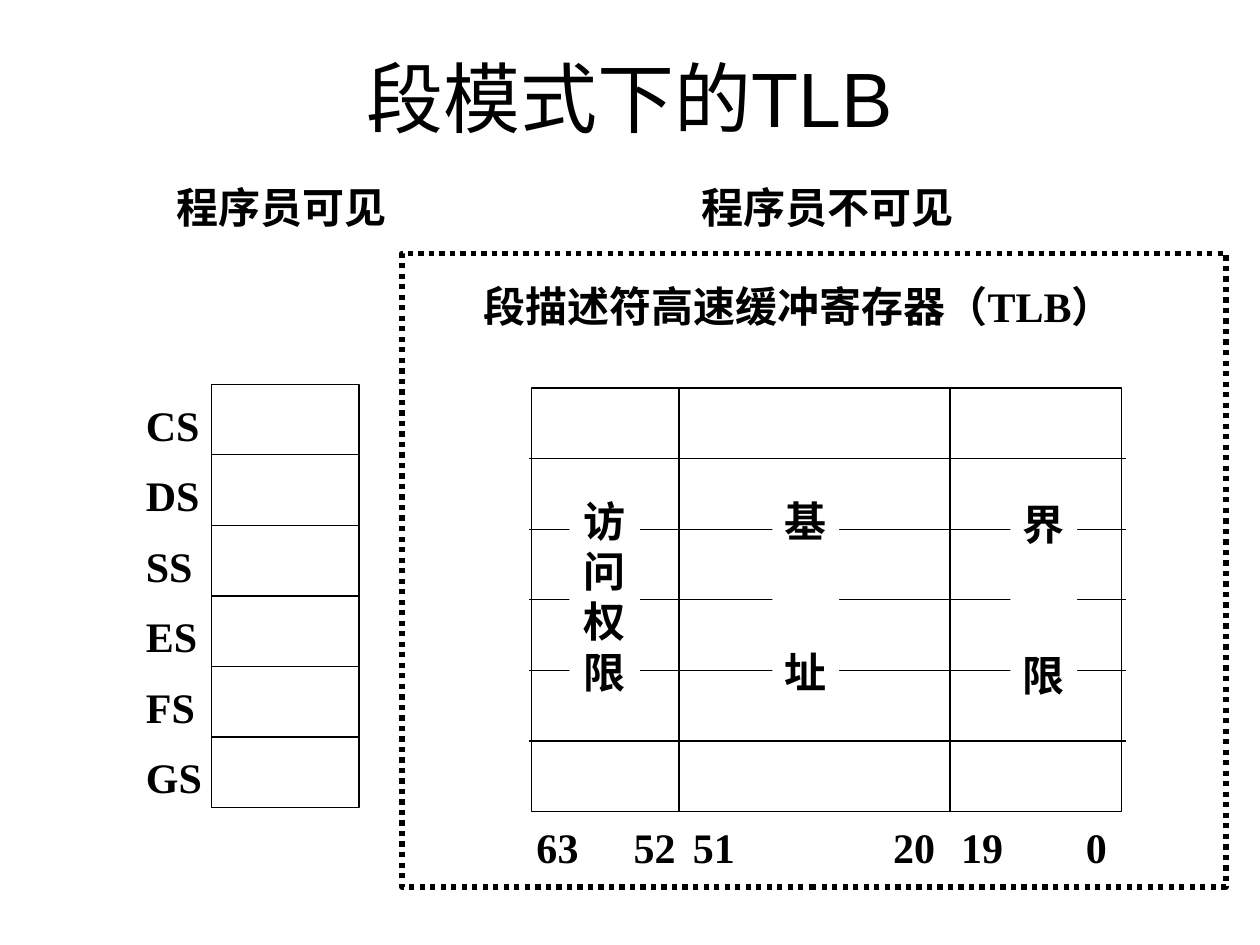
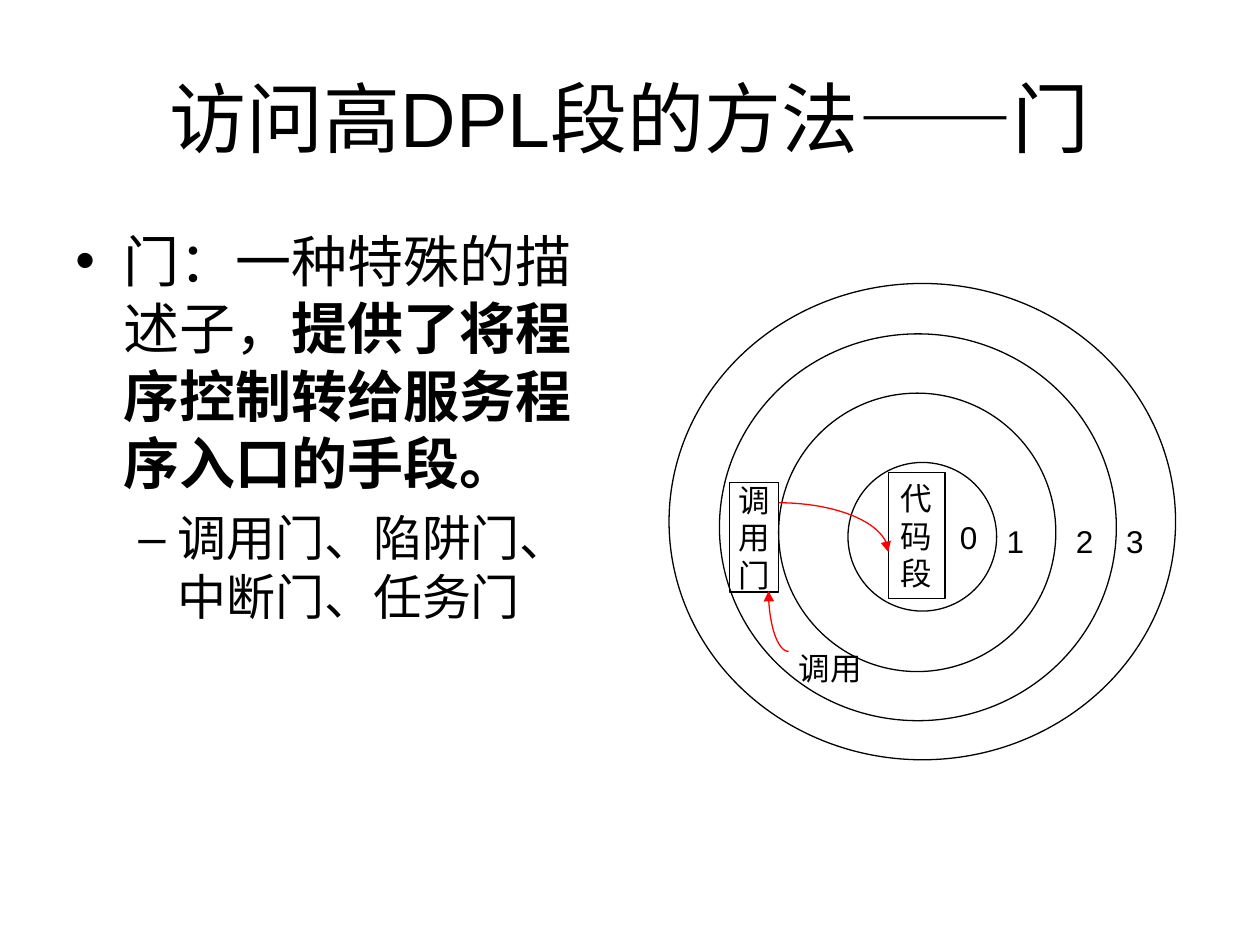
import math
from dataclasses import dataclass

import pptx
import pptx.dml.color
import pptx.enum.dml
import pptx.enum.lang
import pptx.enum.shapes
import pptx.enum.text
import pptx.oxml
import pptx.oxml.ns
import pptx.util
from pptx.util import Inches

BLACK, WHITE, RED = "000000", "FFFFFF", "FF0000"
SANS, SERIF = "Arial", "Times New Roman"
CENTER = pptx.enum.text.PP_ALIGN.CENTER
LEFT = pptx.enum.text.PP_ALIGN.LEFT
SHAPES = pptx.enum.shapes.MSO_SHAPE
THIN = 0.75


@dataclass(frozen=True)
class Box:
    left: float
    top: float
    width: float
    height: float

    def lengths(self) -> list:
        return [Inches(v) for v in (self.left, self.top, self.width, self.height)]


@dataclass(frozen=True)
class TextStyle:
    size: float
    font: str = SANS
    bold: bool = False


@dataclass(frozen=True)
class Label:
    text: str
    box: Box


@dataclass(frozen=True)
class BulletStyle:
    character: str
    margin: float
    hanging: float
    space_before: float
    text: TextStyle


TITLE = TextStyle(44)
DIAGRAM = TextStyle(24, SERIF, True)
RING_TEXT = TextStyle(18)
BULLETS = (
    BulletStyle("•", 0.38, 0.38, 0, TextStyle(32)),
    BulletStyle("–", 0.81, 0.31, 7, TextStyle(28)),
)


def color(value: str) -> pptx.dml.color.RGBColor:
    return pptx.dml.color.RGBColor.from_string(value)


def element(tag: str, attributes: str = ""):
    """Make an empty drawing element."""
    return pptx.oxml.parse_xml(f"<a:{tag} {pptx.oxml.ns.nsdecls('a')} {attributes}/>")


def format_run(run, style: TextStyle) -> None:
    run.font.size = pptx.util.Pt(style.size)
    run.font.name = style.font
    run.font.bold = style.bold
    run.font.color.rgb = color(BLACK)
    run.font.language_id = pptx.enum.lang.MSO_LANGUAGE_ID.SIMPLIFIED_CHINESE


def write(shape, text: str, style: TextStyle, align=LEFT, middle=False, wrap=False) -> None:
    """Put one paragraph per line of text into a shape."""
    frame = shape.text_frame
    frame.text = text
    frame.word_wrap = wrap
    anchors = pptx.enum.text.MSO_ANCHOR
    frame.vertical_anchor = anchors.MIDDLE if middle else anchors.TOP
    for paragraph in frame.paragraphs:
        paragraph.alignment = align
        for run in paragraph.runs:
            format_run(run, style)


def add_text(slide, label: Label, style: TextStyle):
    """Add a label whose right inset is dropped so that it stays on its lines."""
    shape = slide.shapes.add_textbox(*label.box.lengths())
    write(shape, label.text, style)
    shape.text_frame.margin_right = 0
    return shape


def add_title(slide, text: str, height: float) -> None:
    shape = slide.shapes.add_textbox(*Box(0.5, 0.3, 9, height).lengths())
    write(shape, text, TITLE, CENTER, middle=True, wrap=True)


def add_outline(slide, kind, box: Box, width: float = THIN):
    shape = slide.shapes.add_shape(kind, *box.lengths())
    shape.shadow.inherit = False
    shape.fill.background()
    shape.line.color.rgb = color(BLACK)
    shape.line.width = pptx.util.Pt(width)
    return shape


def add_line(slide, x1: float, y1: float, x2: float, y2: float) -> None:
    line = slide.shapes.add_connector(
        pptx.enum.shapes.MSO_CONNECTOR.STRAIGHT,
        Inches(x1), Inches(y1), Inches(x2), Inches(y2))
    line.line.color.rgb = color(BLACK)
    line.line.width = pptx.util.Pt(THIN)
    line._element.spPr.append(element("effectLst"))


def add_row_lines(slide, left: float, right: float, top: float, pitch: float,
                  rows=range(1, 6)) -> None:
    """Draw lines that part six register rows."""
    for row in rows:
        y = top + row * pitch
        add_line(slide, left, y, right, y)


def add_field_name(slide, name: str, box: Box, gap: float) -> None:
    """Write a field name downwards on a white patch that hides the row lines."""
    patch = add_outline(slide, SHAPES.RECTANGLE, box)
    patch.fill.solid()
    patch.fill.fore_color.rgb = color(WHITE)
    patch.line.fill.background()
    write(patch, "\n".join(name), DIAGRAM, CENTER)
    patch.text_frame.margin_top = Inches(0.45)
    for paragraph in patch.text_frame.paragraphs[1:]:
        paragraph.space_before = pptx.util.Pt(gap)


def add_curved_arrow(slide, start: tuple[float, float], end: tuple[float, float]) -> None:
    """Draw a quarter ellipse that leaves start level and reaches end upright."""
    points = []
    for step in range(25):
        angle = step / 24 * math.pi / 2
        x = start[0] + (end[0] - start[0]) * math.sin(angle)
        y = end[1] + (start[1] - end[1]) * math.cos(angle)
        points.append((Inches(x), Inches(y)))
    builder = slide.shapes.build_freeform(*points[0], scale=1.0)
    builder.add_line_segments(points[1:], close=False)
    arrow = builder.convert_to_shape()
    arrow.shadow.inherit = False
    arrow.fill.background()
    arrow.line.color.rgb = color(RED)
    arrow.line.width = pptx.util.Pt(THIN)
    arrow.line._get_or_add_ln().append(element("tailEnd", "type='triangle'"))


def add_bullet(paragraph, style: BulletStyle, runs: list[tuple[str, bool]]) -> None:
    properties = paragraph._p.get_or_add_pPr()
    properties.set("marL", str(Inches(style.margin)))
    properties.set("indent", str(-Inches(style.hanging)))
    paragraph.space_before = pptx.util.Pt(style.space_before)
    properties.append(element("buFont", f"typeface='{SANS}'"))
    properties.append(element("buChar", f"char='{style.character}'"))
    for text, bold in runs:
        run = paragraph.add_run()
        run.text = text
        format_run(run, TextStyle(style.text.size, style.text.font, bold))


def build_tlb_slide(slide) -> None:
    add_title(slide, "段模式下的TLB", 0.93)

    selectors = Box(1.68, 3.05, 1.17, 3.36)
    pitch = selectors.height / 6
    add_row_lines(slide, selectors.left, 2.86, selectors.top, pitch)
    add_outline(slide, SHAPES.RECTANGLE, selectors)
    names = add_text(slide, Label("CS\nDS\nSS\nES\nFS\nGS", Box(1.06, 2.96, 0.64, 3.46)), DIAGRAM)
    for paragraph in names.text_frame.paragraphs:
        paragraph.line_spacing = Inches(pitch)

    descriptors = Box(4.22, 3.08, 4.68, 3.36)
    add_row_lines(slide, 4.2, 8.94, descriptors.top, pitch, range(2, 5))
    add_outline(slide, SHAPES.RECTANGLE, descriptors)
    for x in (5.39, 7.54):
        add_line(slide, x, descriptors.top, x, descriptors.top + descriptors.height)
    for name, left, top, width, gap in (
        ("访问权限", 4.52, 3.48, 0.56, 0),
        ("基址", 6.13, 3.48, 0.53, 57.5),
        ("界限", 8.02, 3.51, 0.53, 57.5),
    ):
        add_field_name(slide, name, Box(left, top, width, 2.5), gap)
    add_row_lines(slide, 4.2, 8.94, descriptors.top, pitch, (1, 5))

    for bit, left in (("63", 4.16), ("52", 4.93), ("51", 5.4),
                      ("20", 6.99), ("19", 7.53), ("0", 8.52)):
        add_text(slide, Label(bit, Box(left, 6.47, 0.53, 0.5)), DIAGRAM)

    frame = add_outline(slide, SHAPES.RECTANGLE, Box(3.19, 2.01, 6.54, 5.03), 3)
    frame.line.dash_style = pptx.enum.dml.MSO_LINE.ROUND_DOT
    for label in (
        Label("程序员可见", Box(1.3, 1.39, 1.86, 0.5)),
        Label("程序员不可见", Box(5.47, 1.39, 2.2, 0.5)),
        Label("段描述符高速缓冲寄存器（TLB）", Box(3.74, 2.18, 5.36, 0.5)),
    ):
        add_text(slide, label, DIAGRAM)


def build_gate_slide(slide) -> None:
    add_title(slide, "访问高DPL段的方法——门", 1.25)

    body = slide.shapes.add_textbox(*Box(0.5, 1.75, 4.34, 5.07).lengths()).text_frame
    body.word_wrap = True
    add_bullet(body.paragraphs[0], BULLETS[0], [
        ("门：一种特殊的描述子，", False),
        ("提供了将程序控制转给服务程序入口的手段。", True)])
    add_bullet(body.add_paragraph(), BULLETS[1], [("调用门、陷阱门、中断门、任务门", False)])

    for ring in (Box(5.31, 2.25, 4.02, 3.78), Box(5.71, 2.65, 3.15, 3.07),
                 Box(6.18, 3.12, 2.2, 2.21), Box(6.73, 3.67, 1.18, 1.18)):
        add_outline(slide, SHAPES.OVAL, ring)
    for label in (
        Label("0", Box(7.52, 4.06, 0.34, 0.4)),
        Label("1", Box(7.89, 4.09, 0.34, 0.4)),
        Label("2", Box(8.44, 4.09, 0.34, 0.4)),
        Label("3", Box(8.84, 4.09, 0.34, 0.4)),
        Label("调用", Box(6.24, 5.1, 0.7, 0.4)),
    ):
        add_text(slide, label, RING_TEXT)
    for label in (Label("调\n用\n门", Box(5.79, 3.83, 0.39, 0.87)),
                  Label("代\n码\n段", Box(7.05, 3.75, 0.45, 1))):
        shape = add_outline(slide, SHAPES.RECTANGLE, label.box)
        write(shape, label.text, RING_TEXT, CENTER, middle=True)
    add_curved_arrow(slide, (6.26, 5.17), (6.1, 4.69))
    add_curved_arrow(slide, (6.18, 3.99), (7.05, 4.38))


def main() -> None:
    presentation = pptx.Presentation()
    presentation.slide_width, presentation.slide_height = Inches(10), Inches(7.5)
    for build in (build_tlb_slide, build_gate_slide):
        build(presentation.slides.add_slide(presentation.slide_layouts[6]))
    presentation.save("out.pptx")


if __name__ == "__main__":
    main()
